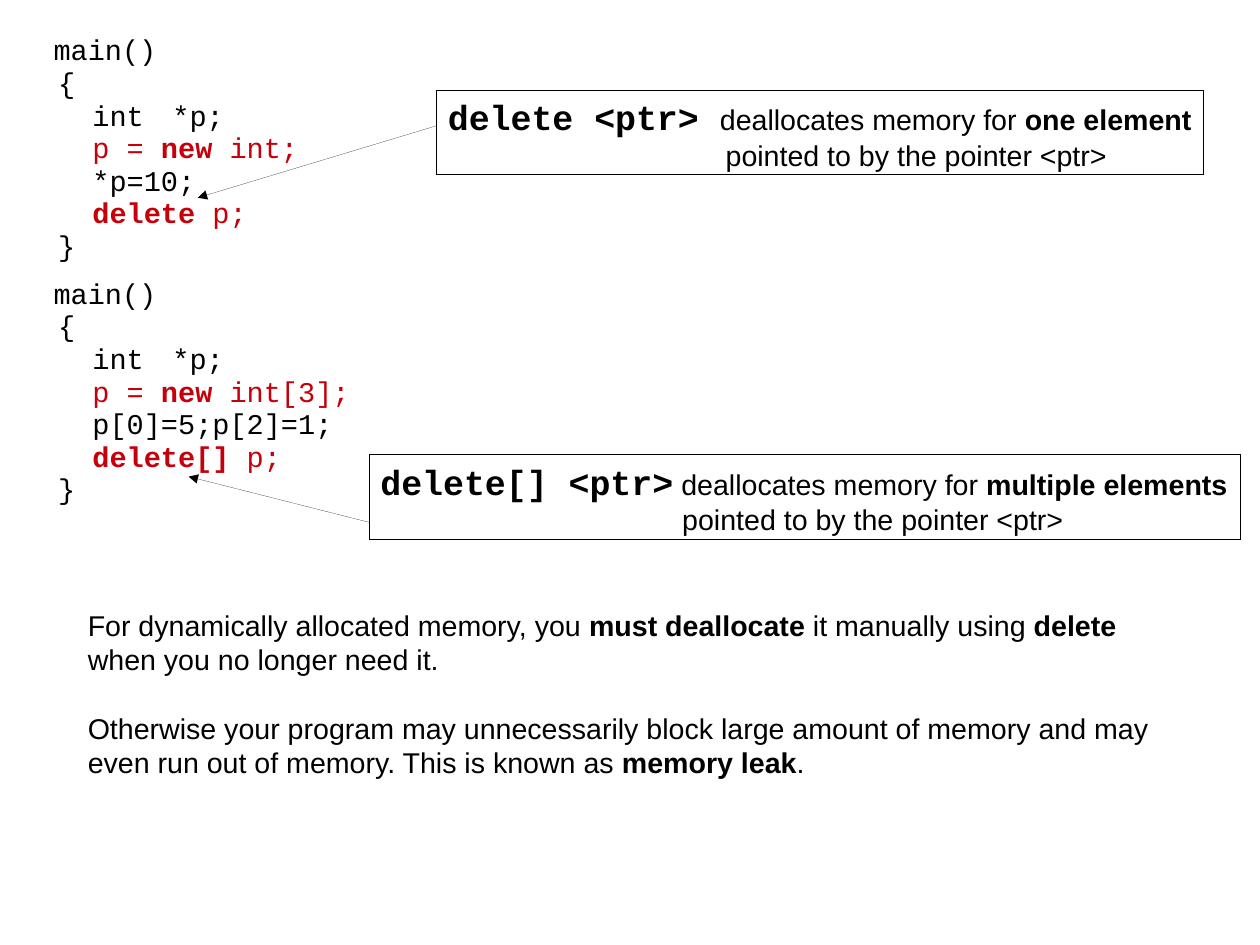
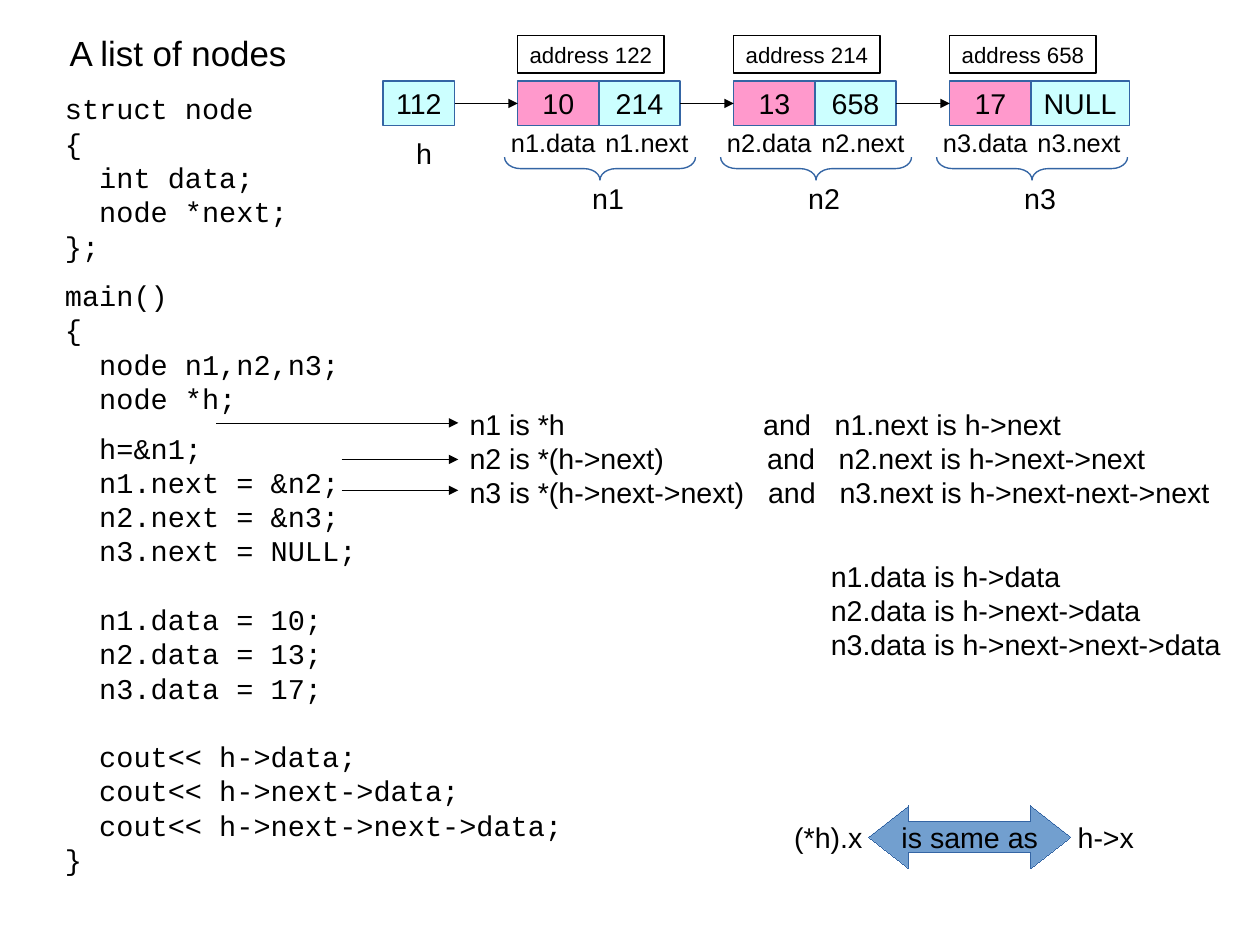
from dataclasses import dataclass

from lxml.etree import SubElement
from pptx import Presentation
from pptx.dml.color import RGBColor
from pptx.enum.shapes import MSO_CONNECTOR as Line, MSO_SHAPE as Shape
from pptx.enum.text import MSO_ANCHOR as Anchor, PP_ALIGN as Align
from pptx.oxml.ns import qn
from pptx.util import Cm, Inches, Pt


@dataclass(frozen=True)
class Theme:
    black: str = "000000"
    red: str = "C5000B"
    blue_line: str = "3465A4"
    blue_fill: str = "729FCF"
    cyan: str = "CCFFFF"
    pink: str = "FF99CC"
    sans: str = "Arial"
    mono: str = "Courier New"
    title: int = 22
    body: int = 18
    label: int = 16
    small: int = 14
    leading: float = 1.2
    hairline: float = 0
    thin: float = 0.85


@dataclass(frozen=True)
class Span:
    text: str
    bold: bool = False
    color: str = ""
    size: int = 0
    font: str = ""
    tracking: float = 0


@dataclass(frozen=True)
class Para:
    spans: tuple
    indent: float = 0
    margin: float = 0
    before: float = 0
    leading: float = 0


THEME = Theme()
CODE_INDENT = 3  # in cells of a grid, each a tenth of an inch


def cells(count):
    return Inches(count / 10)


def area_of(left, top, width, height):
    return [cells(value) for value in (left, top, width, height)]


# Text
def write(box, paras, size=THEME.body, font=THEME.sans, color=THEME.black,
          align=Align.LEFT, anchor=Anchor.TOP, wrap=True, top=0.5, bottom=0.5):
    frame = box.text_frame
    frame.word_wrap = wrap
    frame.vertical_anchor = anchor
    frame.margin_left = frame.margin_right = cells(1)
    frame.margin_top, frame.margin_bottom = cells(top), cells(bottom)
    for index, item in enumerate([paras] if isinstance(paras, str) else paras):
        item = Para((item,)) if isinstance(item, str) else item
        para = frame.add_paragraph() if index else frame.paragraphs[0]
        para.alignment = align
        para.line_spacing = Pt(item.leading or size * THEME.leading)
        para.space_before = Pt(item.before)
        props = para._p.get_or_add_pPr()
        props.set("marL", str(cells(item.margin)))
        props.set("indent", str(cells(item.indent)))
        for part in item.spans:
            part = Span(part) if isinstance(part, str) else part
            span = para.add_run()
            span.text = part.text
            span.font.bold = part.bold
            span.font.size = Pt(part.size or size)
            span.font.name = part.font or font
            span.font.color.rgb = RGBColor.from_string(part.color or color)
            if part.tracking:
                span._r.get_or_add_rPr().set("spc", str(round(part.tracking * 100)))


def gap(points):
    """One space, widened by tracking."""
    return Span(" ", tracking=points)


def add_text(page, area, paras, **style):
    box = page.shapes.add_textbox(*area_of(*area))
    write(box, paras, **style)
    return box


def code_paras(blocks):
    """Each block is the size of the gap above it and its lines."""
    return [Para((line.strip(),), indent=CODE_INDENT if line.startswith("  ") else 0,
                 before=0 if row else space * THEME.leading)
            for space, lines in blocks for row, line in enumerate(lines)]


# Shapes and lines
def set_line(shape, color, width):
    shape.line.color.rgb = RGBColor.from_string(color)
    # A zero width must be written out, or the style's width is used.
    shape.line._get_or_add_ln().set("w", str(Pt(width)))


def add_shape(page, kind, area, fill=None, line=THEME.black, width=THEME.thin):
    shape = page.shapes.add_shape(kind, *area_of(*area))
    shape.shadow.inherit = False
    if fill:
        shape.fill.solid()
        shape.fill.fore_color.rgb = RGBColor.from_string(fill)
    else:
        shape.fill.background()
    set_line(shape, line, width)
    return shape


def add_arrow(page, start=(0, 0), end=(0, 0), width=THEME.hairline):
    points = [cells(value) for value in (*start, *end)]
    arrow = page.shapes.add_connector(Line.STRAIGHT, *points)
    set_line(arrow, THEME.black, width)
    SubElement(arrow.line._get_or_add_ln(), qn("a:tailEnd"), type="triangle")
    SubElement(arrow._element.spPr, qn("a:effectLst"))
    return arrow


def add_cell(page, area, text, fill):
    cell = add_shape(page, Shape.RECTANGLE, area, fill, THEME.blue_line)
    write(cell, text, align=Align.CENTER, anchor=Anchor.MIDDLE, wrap=False)
    return cell


# Slide 1: delete
def add_program(page, top, created, used, deleted):
    red = THEME.red
    lines = [
        (-0.4, "main()"),
        (0, "{"),
        (CODE_INDENT, "int\t*p;"),
        (CODE_INDENT, Span("p = ", color=red), Span("new", True, red),
         Span(created, color=red)),
        (CODE_INDENT, used),
        (CODE_INDENT, Span(deleted, True, red), Span(" p;", color=red)),
        (0, "}"),
    ]
    paras = [Para(tuple(spans), indent, margin=0.5, leading=20.5)
             for indent, *spans in lines]
    add_text(page, (3.6, top, 79.5, 21), paras, font=THEME.mono)


def add_callout(page, area, keyword, lead, subject, indent, start_row, target):
    box = add_shape(page, Shape.RECTANGLE, area, width=THEME.hairline)
    write(box, [
        Para((Span(keyword, True, size=THEME.title, font=THEME.mono), lead,
              Span(subject, True)), leading=28.5),
        Para(("pointed to by the pointer <ptr>",), indent),
    ], wrap=False, top=0.2, bottom=0)
    add_arrow(page, (area[0], start_row), target)


def build_delete_page(page):
    add_program(page, 2.5, " int;", "*p=10;", "delete")
    add_callout(page, (38.2, 7.9, 67.1, 7.4), "delete <ptr> ",
                "deallocates memory for ", "one element", 24.3, 11, (17.3, 17.3))
    add_program(page, 23.8, " int[3];", "p[0]=5;p[2]=1;", "delete[]")
    add_callout(page, (32.3, 39.8, 76.2, 7.4), "delete[] <ptr>",
                " deallocates memory for ", "multiple elements", 26.4, 45.7,
                (16.5, 41.7))
    add_text(page, (6.7, 52.7, 96, 15), [
        Para(("For dynamically allocated memory, you ", Span("must deallocate", True),
              " it manually using ", Span("delete", True),
              " when you no longer need it.")),
        Para(("Otherwise your program may unnecessarily block large amount of memory "
              "and may even run out of memory. This is known as ",
              Span("memory leak", True), "."), before=THEME.body * THEME.leading),
    ])


# Slide 2: linked list
def add_node(page, left, name, address, data, following, next_width):
    top, width, height = 7.1, 7.1, 3.9
    centred = dict(align=Align.CENTER, wrap=False)
    data_cell = add_cell(page, (left, top, width, height), data, THEME.pink)
    next_cell = add_cell(page, (left + width, top, next_width, height), following,
                         THEME.cyan)
    tag = add_shape(page, Shape.RECTANGLE, (left, 3.1, 12.8, 3.3))
    write(tag, address, size=THEME.small, anchor=Anchor.MIDDLE, **centred)
    for offset, field in ((-1.6, "data"), (6.6, "next")):
        add_text(page, (left + offset, 10.6, 9.4, 3.5), f"{name}.{field}",
                 size=THEME.label, **centred)
    brace = add_shape(page, Shape.LEFT_BRACE, (left + 6.2, 6.4, 2, 16.7),
                      line=THEME.blue_line)
    brace.rotation = 270
    brace.adjustments[0] = 0.7
    add_text(page, (left + 5.5, 15.3, 4.8, 3.8), name, **centred)
    return data_cell, next_cell


def add_list_diagram(page):
    pointer = add_cell(page, (33.5, 7.1, 6.3, 3.9), "112", THEME.cyan)
    add_text(page, (35.4, 11.4, 3.4, 3.8), "h", align=Align.CENTER, wrap=False)
    nodes = [
        ("n1", "address 122", "10", "214", 7.1),
        ("n2", "address 214", "13", "658", 7.1),
        ("n3", "address 658", "17", "NULL", 8.6),
    ]
    for index, node in enumerate(nodes):
        data_cell, next_cell = add_node(page, 45.3 + 18.9 * index, *node)
        arrow = add_arrow(page, width=THEME.thin)
        arrow.begin_connect(pointer, 3)
        arrow.end_connect(data_cell, 1)
        pointer = next_cell


def build_list_page(page):
    add_text(page, (5.1, 2.3, 53.8, 4.4), "A list of nodes", size=THEME.title)
    add_text(page, (4.7, 7.5, 56, 66.3), code_paras([
        (0, ["struct node", "{", "  int data;", "  node *next;", "};"]),
        (8, ["main()", "{", "  node n1,n2,n3;", "  node *h;"]),
        (8, ["  h=&n1;", "  n1.next = &n2;", "  n2.next = &n3;", "  n3.next = NULL;"]),
        (18, ["  n1.data = 10;", "  n2.data = 13;", "  n3.data = 17;"]),
        (18, ["  cout<< h->data;", "  cout<< h->next->data;",
              "  cout<< h->next->next->data;", "}"]),
    ]), font=THEME.mono)
    add_list_diagram(page)

    # Equivalent expressions
    for start, row in ((18.9, 37), (29.9, 40.2), (29.9, 42.9)):
        add_arrow(page, (start, row), (40.1, row))
    add_text(page, (40.1, 35.1, 69, 9.4), [
        Para((node, gap(points), "and", gap(10), link)) for node, points, link in (
            ("n1 is *h", 120, "n1.next is h->next"),
            ("n2 is *(h->next)", 60, "n2.next is h->next->next"),
            ("n3 is *(h->next->next)", 10, "n3.next is h->next-next->next"))])
    add_text(page, (71.7, 48.4, 37.5, 9.4), [
        "n1.data is h->data", "n2.data is h->next->data",
        "n3.data is h->next->next->data"])

    # Same meaning
    add_text(page, (68.5, 71.2, 9, 3.8), "(*h).x")
    add_text(page, (93.3, 71.2, 8, 3.8), "h->x")
    same = add_shape(page, Shape.LEFT_RIGHT_ARROW, (76, 70.5, 17.7, 5.5),
                     THEME.blue_fill, THEME.blue_line, THEME.hairline)
    same.adjustments[0], same.adjustments[1] = 0.5, 0.64
    write(same, "is same as", align=Align.CENTER, anchor=Anchor.MIDDLE, wrap=False)


def main():
    deck = Presentation()
    deck.slide_width, deck.slide_height = Cm(28), Cm(21)
    blank = deck.slide_layouts[6]
    for build in (build_delete_page, build_list_page):
        build(deck.slides.add_slide(blank))
    deck.save("out.pptx")


if __name__ == "__main__":
    main()
